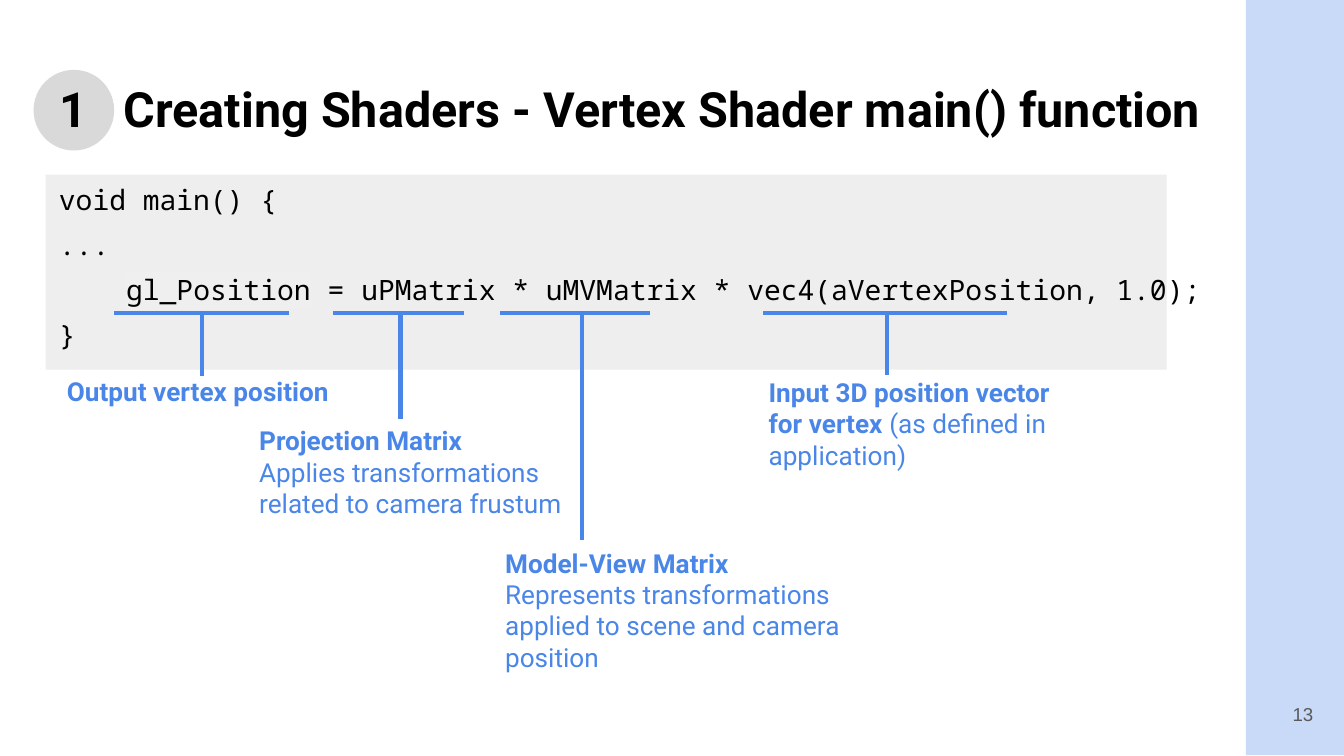
from lxml.etree import SubElement
from pptx import Presentation
from pptx.dml.color import RGBColor
from pptx.enum.shapes import MSO_CONNECTOR, MSO_SHAPE
from pptx.enum.text import MSO_ANCHOR, MSO_AUTO_SIZE, PP_ALIGN
from pptx.oxml import parse_xml
from pptx.oxml.ns import nsdecls, qn
from pptx.util import Inches, Pt

BLUE = "4A86E8"
BLACK = "000000"
RULE = 2.33
CALLS = [
    ((0.85, 2.15), (1.5, 2.8), (0.4, 2.69, 2.2, 0.43),
     [[("Output vertex position", True)]]),
    ((2.48, 3.45), (2.98, 3.12), (1.83, 3.06, 2.49, 1.32),
     [[("Projection Matrix", True)],
      [("Applies transformations related to camera frustum", False)]]),
    ((3.72, 4.84), (4.33, 4.02), (3.66, 3.97, 3.25, 1.36),
     [[("Model-View Matrix", True)],
      [("Represents transformations applied to scene and camera position",
        False)]]),
    ((5.68, 7.49), (6.6, 2.79), (5.62, 2.7, 2.49, 0.91),
     [[("Input 3D position vector for vertex ", True),
       ("(as defined in application)", False)]]),
]


def color(code):
    """Turn a hex string into a colour."""
    return RGBColor.from_string(code)


def style(run, face, size, code, bold=False):
    """Set the font of a run."""
    font = run.font
    font.name, font.size, font.bold = face, Pt(size), bold
    font.color.rgb = color(code)


def block(slide, kind, box, code):
    """Add a filled shape without an outline."""
    shape = slide.shapes.add_shape(kind, *map(Inches, box))
    shape.shadow.inherit = False
    shape.fill.solid()
    shape.fill.fore_color.rgb = color(code)
    shape.line.fill.background()


def line(slide, start, end):
    """Add a straight blue line."""
    link = slide.shapes.add_connector(
        MSO_CONNECTOR.STRAIGHT, *map(Inches, start + end))
    link.line.color.rgb = color(BLUE)
    link.line.width = Pt(2.25)
    SubElement(link.element.spPr, qn("a:effectLst"))


def setup(frame, anchor):
    """Give a text frame even margins, wrapping and an anchor."""
    frame.word_wrap = True
    frame.auto_size = MSO_AUTO_SIZE.NONE
    frame.vertical_anchor = anchor
    frame.margin_left = frame.margin_right = Inches(0.1)
    frame.margin_top = frame.margin_bottom = Inches(0.1)


def text(slide, box, paras, face, size, code, anchor=MSO_ANCHOR.TOP):
    """Add a text box from paragraphs of (words, bold) runs."""
    frame = slide.shapes.add_textbox(*map(Inches, box)).text_frame
    setup(frame, anchor)
    for num, parts in enumerate(paras):
        para = frame.add_paragraph() if num else frame.paragraphs[0]
        for words, bold in parts:
            run = para.add_run()
            run.text = words
            style(run, face, size, code, bold)
    return frame


def head(slide):
    """Place the title with its number over the circle."""
    title = slide.shapes.title
    title.left, title.top, title.width, title.height = map(
        Inches, (0.34, 0.49, 9.32, 0.63))
    frame = title.text_frame
    setup(frame, MSO_ANCHOR.MIDDLE)
    para = frame.paragraphs[0]
    para.text = "1\tCreating Shaders - Vertex Shader main() function"
    para.alignment = PP_ALIGN.LEFT
    props = para._p.get_or_add_pPr()
    props.set("marL", str(Inches(0.48)))
    props.set("indent", str(-Inches(0.48)))
    style(para.runs[0], "Roboto", 26, BLACK, True)
    title.element.getparent().append(title.element)


def code(slide):
    """Add the shader listing."""
    rows = [["void main() {"], ["..."],
            ["gl_Position",
             " = uPMatrix * uMVMatrix * vec4(aVertexPosition, 1.0);"], ["}"]]
    paras = [[(words, False) for words in row] for row in rows]
    frame = text(slide, (0.34, 1.26, 8.92, 1.55), paras,
                 "Noto Sans Mono", 15, BLACK)
    for num, para in enumerate(frame.paragraphs):
        para.space_before = Pt(6 if num else 0)
    call = frame.paragraphs[2]
    call._p.get_or_add_pPr().set("marL", str(Inches(0.5)))
    fill = call.runs[0].font._element.find(qn("a:solidFill"))
    fill.addnext(parse_xml(
        f'<a:highlight {nsdecls("a")}><a:srgbClr val="EFEFEF"/></a:highlight>'))


def note(slide, span, foot, box, paras):
    """Add an underline, its stem and the words below."""
    left, right = span
    line(slide, (left, RULE), (right, RULE))
    line(slide, (foot[0], RULE), foot)
    text(slide, box, paras, "Roboto", 14, BLUE)


def main():
    """Build and save the slide."""
    deck = Presentation()
    deck.slide_width, deck.slide_height = Inches(10), Inches(10 * 9 / 16)
    slide = deck.slides.add_slide(deck.slide_layouts[5])
    block(slide, MSO_SHAPE.RECTANGLE, (9.27, -0.02, 0.73, 5.64), "C9DAF8")
    block(slide, MSO_SHAPE.RECTANGLE, (0.34, 1.3, 8.34, 1.45), "EEEEEE")
    block(slide, MSO_SHAPE.OVAL, (0.25, 0.52, 0.6, 0.6), "D9D9D9")
    head(slide)
    code(slide)
    page = text(slide, (9.27, 5.1, 0.6, 0.43), [[("13", False)]],
                "Arial", 10, "595959", MSO_ANCHOR.MIDDLE)
    page.paragraphs[0].alignment = PP_ALIGN.RIGHT
    for call in CALLS:
        note(slide, *call)
    deck.save("out.pptx")


main()
